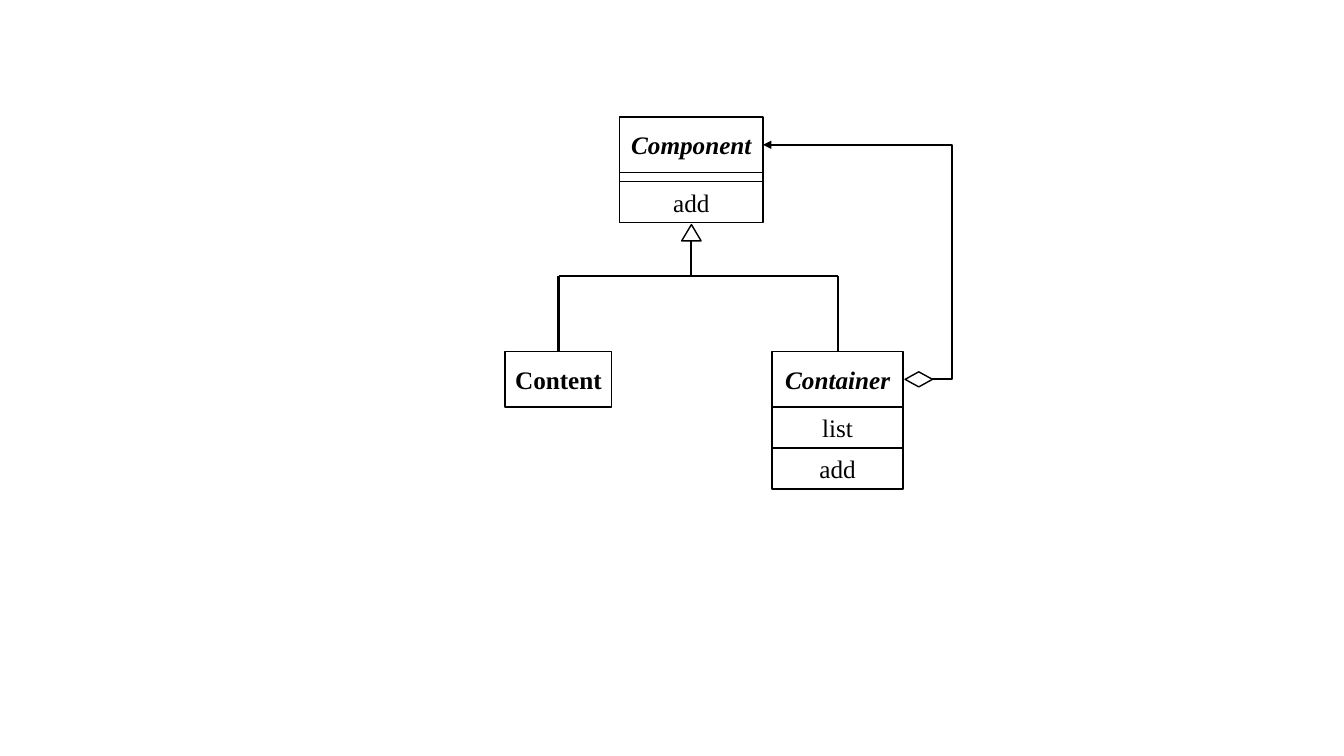
from dataclasses import dataclass

import pptx
import pptx.dml.color
import pptx.enum.shapes
import pptx.enum.text
import pptx.oxml
import pptx.oxml.ns
import pptx.util

Cm, Pt = pptx.util.Cm, pptx.util.Pt
SHAPE = pptx.enum.shapes.MSO_SHAPE
CONNECTOR = pptx.enum.shapes.MSO_CONNECTOR

COLORS = {"ink": "000000", "paper": "FFFFFF"}
FONT = "Times New Roman"
NAME_H, ROW_H, EMPTY_H = 1.4, 1.03, 0.23


@dataclass(frozen=True)
class UmlClass:
    name: str
    left: float
    top: float
    width: float
    abstract: bool = False
    rows: tuple[str, ...] = ()

    @property
    def center(self) -> float:
        return self.left + self.width / 2

    @property
    def right(self) -> float:
        return self.left + self.width

    @property
    def name_middle(self) -> float:
        return self.top + NAME_H / 2


def rgb(key: str) -> pptx.dml.color.RGBColor:
    return pptx.dml.color.RGBColor.from_string(COLORS[key])


def add_text(sp, text: str, *, size: float = 18, bold: bool = False,
             italic: bool = False, color: str = "ink") -> None:
    tf = sp.text_frame
    tf.word_wrap = False
    tf.margin_left = tf.margin_right = tf.margin_top = tf.margin_bottom = 0
    tf.vertical_anchor = pptx.enum.text.MSO_ANCHOR.MIDDLE
    p = tf.paragraphs[0]
    p.alignment = pptx.enum.text.PP_ALIGN.CENTER
    r = p.add_run()
    r.text = text
    r.font.name, r.font.size = FONT, Pt(size)
    r.font.bold, r.font.italic = bold, italic
    r.font.color.rgb = rgb(color)


def add_outline(s, kind, left: float, top: float, width: float, height: float):
    sp = s.shapes.add_shape(kind, Cm(left), Cm(top), Cm(width), Cm(height))
    sp.shadow.inherit = False
    sp.fill.solid()
    sp.fill.fore_color.rgb = rgb("paper")
    sp.line.color.rgb = rgb("ink")
    sp.line.width = Pt(1)
    return sp


def add_class(s, uml: UmlClass) -> None:
    sp = add_outline(s, SHAPE.RECTANGLE, uml.left, uml.top, uml.width, NAME_H)
    add_text(sp, uml.name, bold=True, italic=uml.abstract)
    top = uml.top + NAME_H
    for row in uml.rows:
        height = ROW_H if row else EMPTY_H
        sp = add_outline(s, SHAPE.RECTANGLE, uml.left, top, uml.width, height)
        if row:
            add_text(sp, row)
        top += height


def add_line(s, x1: float, y1: float, x2: float, y2: float,
             kind=CONNECTOR.STRAIGHT):
    sp = s.shapes.add_connector(kind, Cm(x1), Cm(y1), Cm(x2), Cm(y2))
    sp.line.color.rgb = rgb("ink")
    sp.line.width = Pt(1.5)
    sp._element.spPr.append(pptx.oxml.parse_xml(
        f'<a:effectLst {pptx.oxml.ns.nsdecls("a")}/>'))
    return sp


def add_loop_arrow(s, x1: float, y1: float, x2: float, y2: float,
                   lane_x: float) -> None:
    """Elbow arrow that runs out to lane_x before it turns back."""
    sp = add_line(s, x1, y1, x2, y2, CONNECTOR.ELBOW)
    adjust = round((x1 - lane_x) / (x1 - x2) * 100000)
    ns = pptx.oxml.ns.nsdecls("a")
    guides = sp._element.spPr.find(".//" + pptx.oxml.ns.qn("a:avLst"))
    guides.append(pptx.oxml.parse_xml(
        f'<a:gd {ns} name="adj1" fmla="val {adjust}"/>'))
    sp.line._get_or_add_ln().append(pptx.oxml.parse_xml(
        f'<a:tailEnd {ns} type="triangle"/>'))


prs = pptx.Presentation()
prs.slide_width, prs.slide_height = Cm(33.87), Cm(19.05)
s = prs.slides.add_slide(prs.slide_layouts[6])

# Classes
component = UmlClass("Component", 15.62, 2.95, 3.61, True, ("", "add"))
content = UmlClass("Content", 12.73, 8.86, 2.69)
container = UmlClass("Container", 19.46, 8.86, 3.3, True, ("list", "add"))
for uml in (component, content, container):
    add_class(s, uml)

# Inheritance: triangle, stem, bar and one branch per subclass
tri_top, tri_w, tri_h, bar_y = 5.66, 0.49, 0.41, 6.95
add_outline(s, SHAPE.ISOSCELES_TRIANGLE, component.center - tri_w / 2,
            tri_top, tri_w, tri_h)
add_line(s, component.center, tri_top + tri_h, component.center, bar_y)
add_line(s, content.center, bar_y, container.center, bar_y)
for uml in (content, container):
    add_line(s, uml.center, bar_y, uml.center, uml.top)

# Aggregation: diamond beside the container, arrow back to the component
dia_left, dia_w, dia_h = container.right + 0.05, 0.69, 0.38
add_outline(s, SHAPE.DIAMOND, dia_left, container.name_middle - dia_h / 2,
            dia_w, dia_h)
add_loop_arrow(s, dia_left + dia_w, container.name_middle,
               component.right, component.name_middle, lane_x=24)

prs.save("out.pptx")
